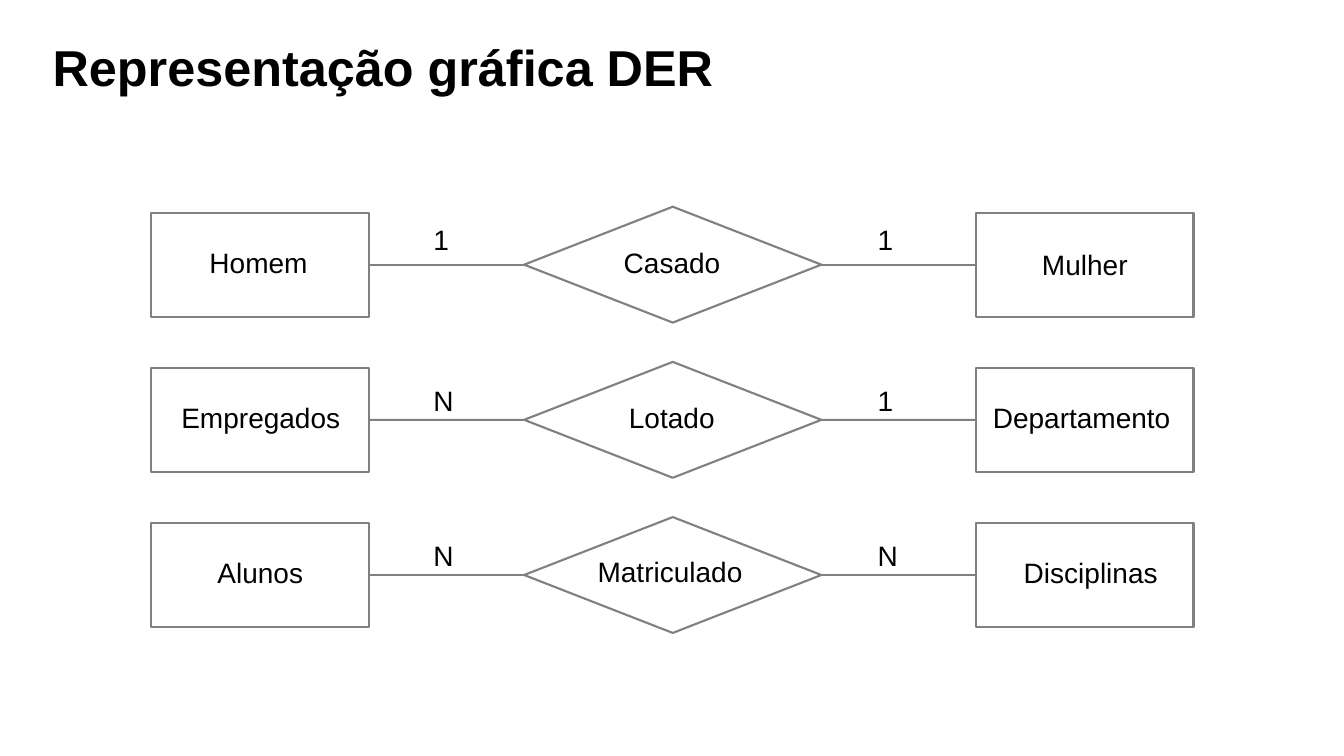
from dataclasses import dataclass

from lxml import etree
from pptx import Presentation
from pptx import util as u
from pptx.dml.color import RGBColor
from pptx.enum import shapes, text
from pptx.oxml.ns import qn


@dataclass(frozen=True)
class Theme:
    font: str = "Arial"
    ink: RGBColor = RGBColor(0x00, 0x00, 0x00)
    outline: RGBColor = RGBColor(0x80, 0x80, 0x80)
    paper: RGBColor = RGBColor(0xFF, 0xFF, 0xFF)
    title_size: u.Pt = u.Pt(36)
    label_size: u.Pt = u.Pt(20)
    line_width: u.Pt = u.Pt(1.5)


THEME = Theme()

# All lengths are in centimetres.
FIRST_TOP, ROW_PITCH = 5.36, 3.91
ENTITY_WIDTH, ENTITY_HEIGHT = 5.49, 2.62
RELATION_WIDTH, RELATION_HEIGHT = 7.49, 2.92
ENTITY_LEFTS, RELATION_LEFT = (3.81, 24.59), 13.21
LABEL_HEIGHT, LABEL_DROP = 1.12, 0.69
CARDINALITY_LEFTS = (10.67, 21.87)
CARDINALITY_WIDTHS = {"1": 0.91, "N": 1.04}
TOP, LEFT, BOTTOM, RIGHT = range(4)

# Each row: labels as (text, left, width, extra drop), cardinalities, their top.
ROWS = [
    ([("Homem", 5.03, 3.0, 0), ("Mulher", 26.01, 2.69, 0.05),
      ("Casado", 15.47, 2.97, 0)], "11", 5.49),
    ([("Empregados", 4.32, 4.55, 0), ("Departamento", 24.77, 5.03, 0),
      ("Lotado", 15.6, 2.69, 0)], "N1", 9.55),
    ([("Alunos", 5.23, 2.69, 0), ("Disciplinas", 25.55, 3.94, 0),
      ("Matriculado", 14.81, 4.19, -0.03)], "NN", 13.44),
]


def apply_format(target, values):
    for name, value in values.items():
        setattr(target, name, value)


def format_text(paragraph, size, bold=False):
    paragraph.alignment = text.PP_ALIGN.LEFT
    apply_format(paragraph.font, {"name": THEME.font, "size": size, "bold": bold})
    paragraph.font.color.rgb = THEME.ink


def format_line(line):
    line.color.rgb = THEME.outline
    line.width = THEME.line_width


def add_title(slide, wording):
    title = slide.shapes.title
    apply_format(title, {"left": u.Cm(1.07), "top": u.Cm(0),
                         "width": u.Cm(31.62), "height": u.Cm(3.53)})
    frame = title.text_frame
    frame.text = wording
    apply_format(frame, {"vertical_anchor": text.MSO_ANCHOR.MIDDLE,
                         "auto_size": text.MSO_AUTO_SIZE.NONE, "word_wrap": True})
    paragraph = frame.paragraphs[0]
    paragraph.line_spacing = 0.9
    format_text(paragraph, THEME.title_size, bold=True)


def add_outlined(group, kind, left, top, width, height):
    shape = group.shapes.add_shape(kind, u.Cm(left), u.Cm(top),
                                   u.Cm(width), u.Cm(height))
    shape.shadow.inherit = False
    shape.fill.solid()
    shape.fill.fore_color.rgb = THEME.paper
    format_line(shape.line)
    return shape


def add_label(group, wording, left, top, width):
    box = group.shapes.add_textbox(u.Cm(left), u.Cm(top),
                                   u.Cm(width), u.Cm(LABEL_HEIGHT))
    frame = box.text_frame
    frame.text = wording
    apply_format(frame, {"word_wrap": False,
                         "auto_size": text.MSO_AUTO_SIZE.SHAPE_TO_FIT_TEXT})
    format_text(frame.paragraphs[0], THEME.label_size)


def join(group, start, start_side, end, end_side):
    connector = group.shapes.add_connector(shapes.MSO_CONNECTOR.STRAIGHT, 0, 0, 0, 0)
    connector.begin_connect(start, start_side)
    connector.end_connect(end, end_side)
    format_line(connector.line)
    etree.SubElement(connector._element.spPr, qn("a:effectLst"))


def add_relationship(slide, top, labels, cardinalities, cardinality_top):
    """Draw one row: entity, relationship diamond, entity."""
    group = slide.shapes.add_group_shape()
    first, second = [
        add_outlined(group, shapes.MSO_SHAPE.RECTANGLE, left, top,
                     ENTITY_WIDTH, ENTITY_HEIGHT)
        for left in ENTITY_LEFTS
    ]
    relation = add_outlined(group, shapes.MSO_SHAPE.FLOWCHART_DECISION, RELATION_LEFT,
                            top - (RELATION_HEIGHT - ENTITY_HEIGHT) / 2,
                            RELATION_WIDTH, RELATION_HEIGHT)
    for wording, left, width, extra_drop in labels:
        add_label(group, wording, left, top + LABEL_DROP + extra_drop, width)
    join(group, relation, LEFT, first, RIGHT)
    join(group, second, LEFT, relation, RIGHT)
    for wording, left in zip(cardinalities, CARDINALITY_LEFTS):
        add_label(group, wording, left, cardinality_top, CARDINALITY_WIDTHS[wording])


def main():
    presentation = Presentation()
    apply_format(presentation, {"slide_width": u.Cm(33.87),
                                "slide_height": u.Cm(19.05)})
    slide = presentation.slides.add_slide(
        presentation.slide_layouts.get_by_name("Title Only"))
    add_title(slide, "Representação gráfica DER")
    for index, row in enumerate(ROWS):
        add_relationship(slide, FIRST_TOP + index * ROW_PITCH, *row)
    presentation.save("out.pptx")


if __name__ == "__main__":
    main()
